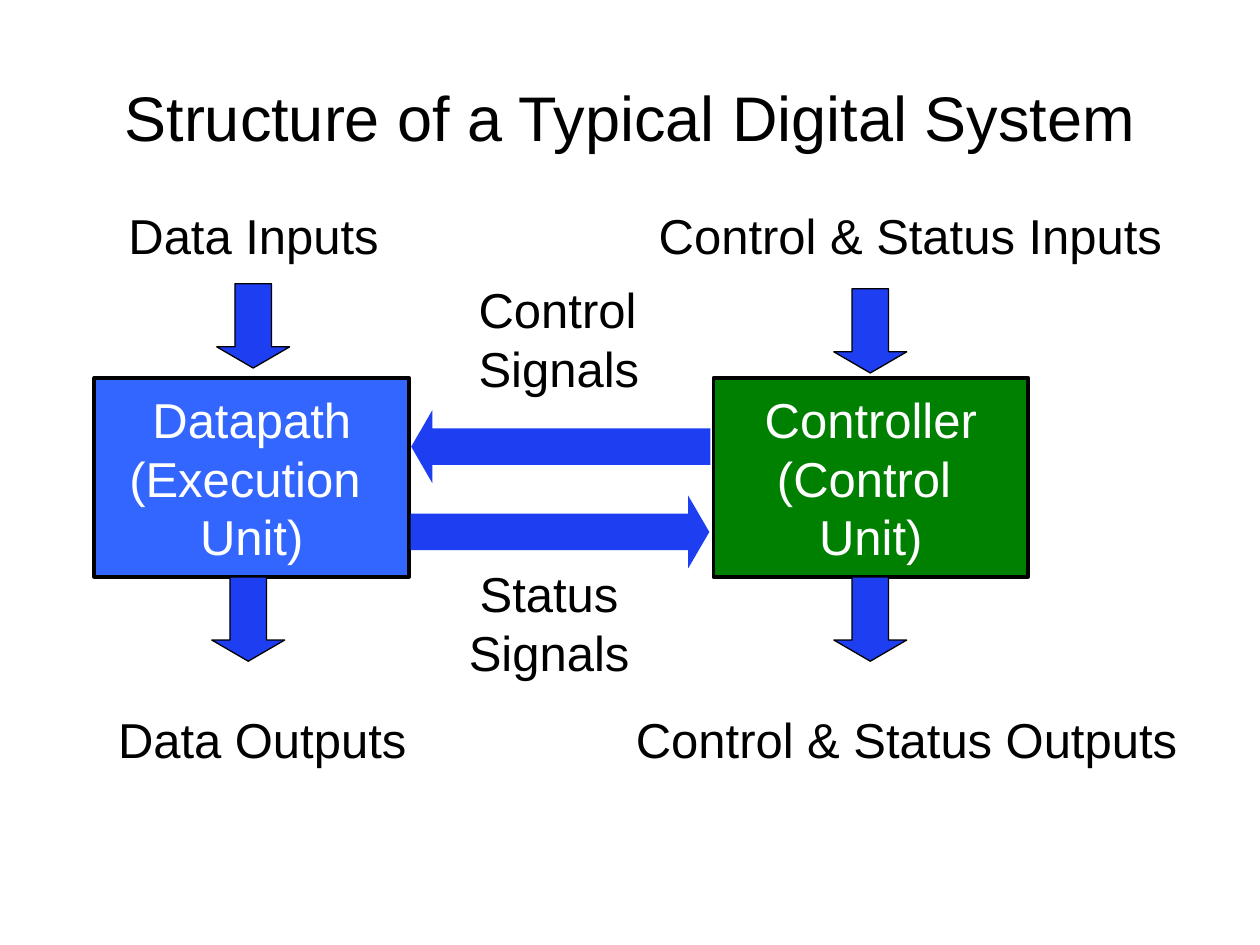
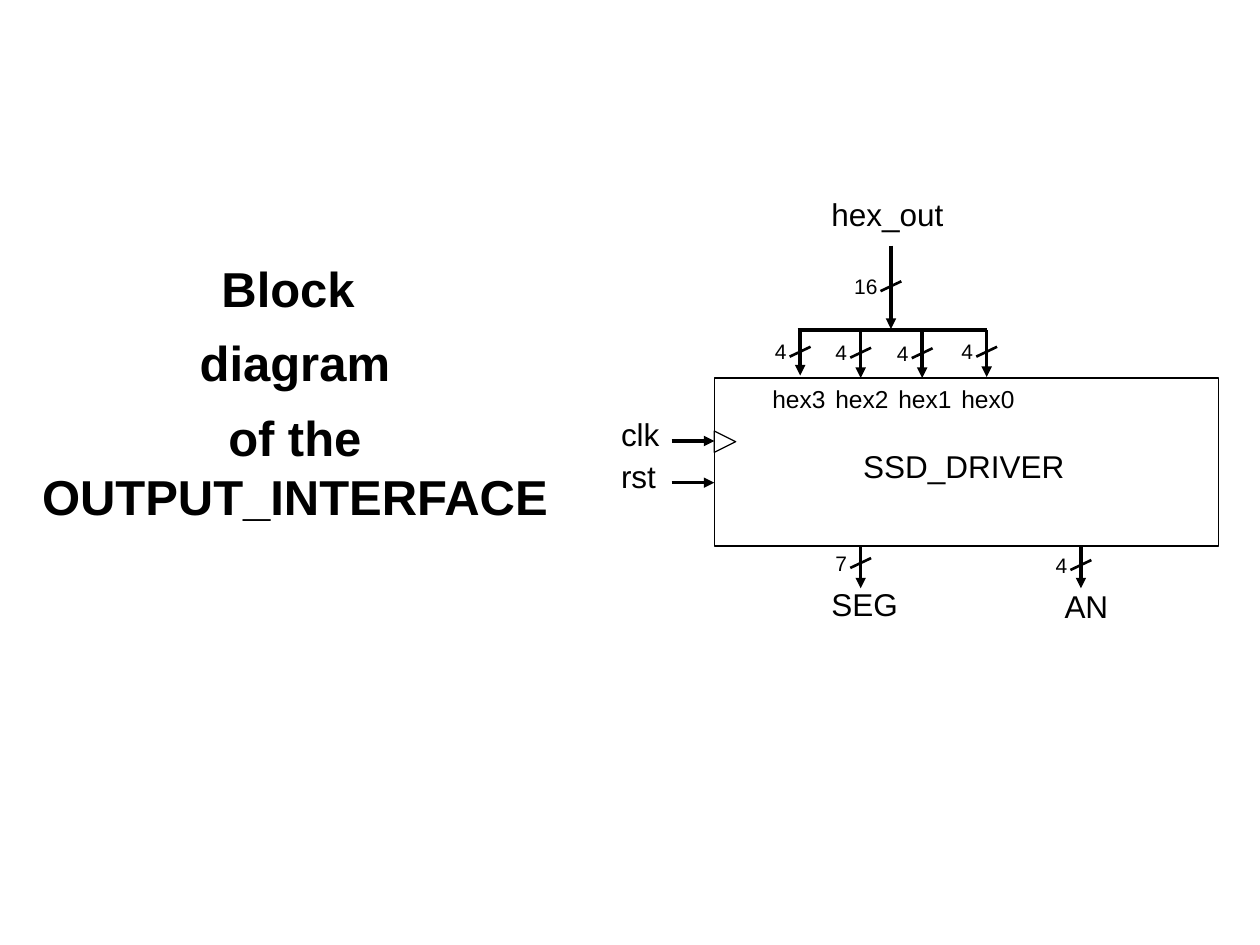
"""Build two slides on the structure of a digital system and its output interface."""
import lxml.etree
import pptx
import pptx.dml.color
import pptx.enum.shapes
import pptx.enum.text
import pptx.oxml.ns
import pptx.util

FONT = "Arial"
BLACK, WHITE, ARROW = "000000", "FFFFFF", "1E3EF2"
rgb = pptx.dml.color.RGBColor.from_string
qn = pptx.oxml.ns.qn
Cm, Pt = pptx.util.Cm, pptx.util.Pt
MSO_SHAPE = pptx.enum.shapes.MSO_SHAPE
LEFT, CENTER = pptx.enum.text.PP_ALIGN.LEFT, pptx.enum.text.PP_ALIGN.CENTER
MIDDLE = pptx.enum.text.MSO_ANCHOR.MIDDLE


def write(sp, text, size, align=LEFT, color=BLACK, bold=False, wrap=False):
    tf = sp.text_frame
    tf.text = text
    tf.word_wrap = wrap
    for p in tf.paragraphs:
        p.alignment = align
        for r in p.runs:
            r.font.name = FONT
            r.font.size = Pt(size)
            r.font.bold = bold
            r.font.color.rgb = rgb(color)
    return tf


def line(s, x1, y1, x2, y2, width=2, arrow=False):
    cn = s.shapes.add_connector(pptx.enum.shapes.MSO_CONNECTOR.STRAIGHT, Cm(x1), Cm(y1), Cm(x2), Cm(y2))
    cn.line.color.rgb = rgb(BLACK)
    cn.line.width = Pt(width)
    spPr = cn.element.spPr
    if arrow:
        lxml.etree.SubElement(spPr.find(qn("a:ln")), qn("a:tailEnd"), type="triangle")
    lxml.etree.SubElement(spPr, qn("a:effectLst"))


prs = pptx.Presentation()
prs.slide_width, prs.slide_height = Cm(25.4), Cm(19.05)
blank = prs.slide_layouts[6]

s = prs.slides.add_slide(blank)
title = s.shapes.add_textbox(Cm(1.27), Cm(0.76), Cm(22.86), Cm(3.18))
tf = write(title, "Structure of a Typical Digital System", 36, CENTER, wrap=True)
tf.vertical_anchor = MIDDLE

units = [
    (1.9, "3366FF", "Datapath\n(Execution \nUnit)"),
    (14.38, "008000", "Controller\n(Control \nUnit)"),
]
for x, color, text in units:
    sp = s.shapes.add_shape(MSO_SHAPE.RECTANGLE, Cm(x), Cm(7.62), Cm(6.35), Cm(4.01))
    sp.shadow.inherit = False
    sp.fill.solid()
    sp.fill.fore_color.rgb = rgb(color)
    sp.line.color.rgb = rgb(BLACK)
    sp.line.width = Pt(2)
    tf = write(sp, text, 28, CENTER, WHITE)
    tf.vertical_anchor = MIDDLE

arrows = [
    (MSO_SHAPE.DOWN_ARROW, 4.37, 5.72, 1.47, 1.7),
    (MSO_SHAPE.DOWN_ARROW, 16.81, 5.82, 1.47, 1.7),
    (MSO_SHAPE.DOWN_ARROW, 4.27, 11.63, 1.47, 1.7),
    (MSO_SHAPE.DOWN_ARROW, 16.81, 11.63, 1.47, 1.7),
    (MSO_SHAPE.LEFT_ARROW, 8.29, 8.27, 6.03, 1.47),
    (MSO_SHAPE.RIGHT_ARROW, 8.28, 9.99, 6.02, 1.47),
]
for kind, x, y, w, h in arrows:
    sp = s.shapes.add_shape(kind, Cm(x), Cm(y), Cm(w), Cm(h))
    sp.shadow.inherit = False
    sp.adjustments[1] = 0.29
    sp.fill.solid()
    sp.fill.fore_color.rgb = rgb(ARROW)
    if kind == MSO_SHAPE.DOWN_ARROW:
        sp.line.color.rgb = rgb(BLACK)
        sp.line.width = Pt(0.75)
    else:
        sp.line.fill.background()

signals = [
    ("Data Inputs", 2.34, 4.01, 5.56, 1.45, LEFT),
    ("Data Outputs", 2.13, 14.17, 6.32, 1.45, LEFT),
    ("Control & Status Inputs", 13.03, 4.01, 10.77, 1.45, LEFT),
    ("Control & Status Outputs", 12.57, 14.17, 11.56, 1.45, LEFT),
    ("Control\nSignals", 9.4, 5.51, 3.99, 2.62, LEFT),
    ("Status\nSignals", 9.19, 11.23, 3.76, 2.62, CENTER),
]
for text, x, y, w, h, align in signals:
    write(s.shapes.add_textbox(Cm(x), Cm(y), Cm(w), Cm(h)), text, 28, align)

s = prs.slides.add_slide(blank)
heading = s.shapes.add_textbox(0, Cm(5.08), Cm(11.89), Cm(5.69))
tf = write(heading, "Block \ndiagram\nof the OUTPUT_INTERFACE", 28, CENTER, bold=True, wrap=True)
for p in tf.paragraphs[1:]:
    p.space_before = Pt(9.1)

outlines = [
    (MSO_SHAPE.RECTANGLE, 14.4, 7.62, 10.16, 3.39, 0),
    (MSO_SHAPE.ISOSCELES_TRIANGLE, 14.4, 8.69, 0.43, 0.43, 90),
]
for kind, x, y, w, h, rotation in outlines:
    sp = s.shapes.add_shape(kind, Cm(x), Cm(y), Cm(w), Cm(h))
    sp.shadow.inherit = False
    sp.rotation = rotation
    sp.fill.background()
    sp.line.color.rgb = rgb(BLACK)
    sp.line.width = Pt(0.75)

line(s, 16.08, 6.65, 19.89, 6.65)
for y in (8.89, 9.73):
    line(s, 13.54, y, 14.4, y, arrow=True)

buses = [
    ("16", 17.96, 4.95, 6.63, 5.77, 0.99),
    ("4", 16.13, 6.63, 7.57, 7.09, 0.76),
    ("4", 17.35, 6.68, 7.62, 7.11, 0.76),
    ("4", 18.59, 6.68, 7.62, 7.12, 0.76),
    ("4", 19.89, 6.65, 7.6, 7.09, 0.76),
    ("7", 17.35, 11.01, 11.86, 11.35, 0.76),
    ("4", 21.79, 11.01, 11.86, 11.39, 0.76),
]
for bits, x, top, bottom, slash, w in buses:
    line(s, x, top, x, bottom, arrow=True)
    line(s, x - 0.21, slash + 0.1, x + 0.21, slash - 0.1, 1.5)
    write(s.shapes.add_textbox(Cm(x - w), Cm(slash - 0.38), Cm(w), Cm(0.76)), bits, 12)

ports = [
    ("hex_out", 16.51, 3.81, 2.9),
    ("SSD_DRIVER", 17.15, 8.89, 4.62),
    ("clk", 12.27, 8.25, 1.3),
    ("rst", 12.27, 9.09, 1.22),
    ("SEG", 16.51, 11.66, 1.85),
    ("AN", 21.21, 11.71, 1.45),
]
for text, x, y, w in ports:
    write(s.shapes.add_textbox(Cm(x), Cm(y), Cm(w), Cm(1.02)), text, 18)
for i in range(4):
    digit = s.shapes.add_textbox(Cm(15.32 + 1.27 * i), Cm(7.62), Cm(1.6), Cm(0.86))
    write(digit, f"hex{3 - i}", 14)

prs.save("out.pptx")
